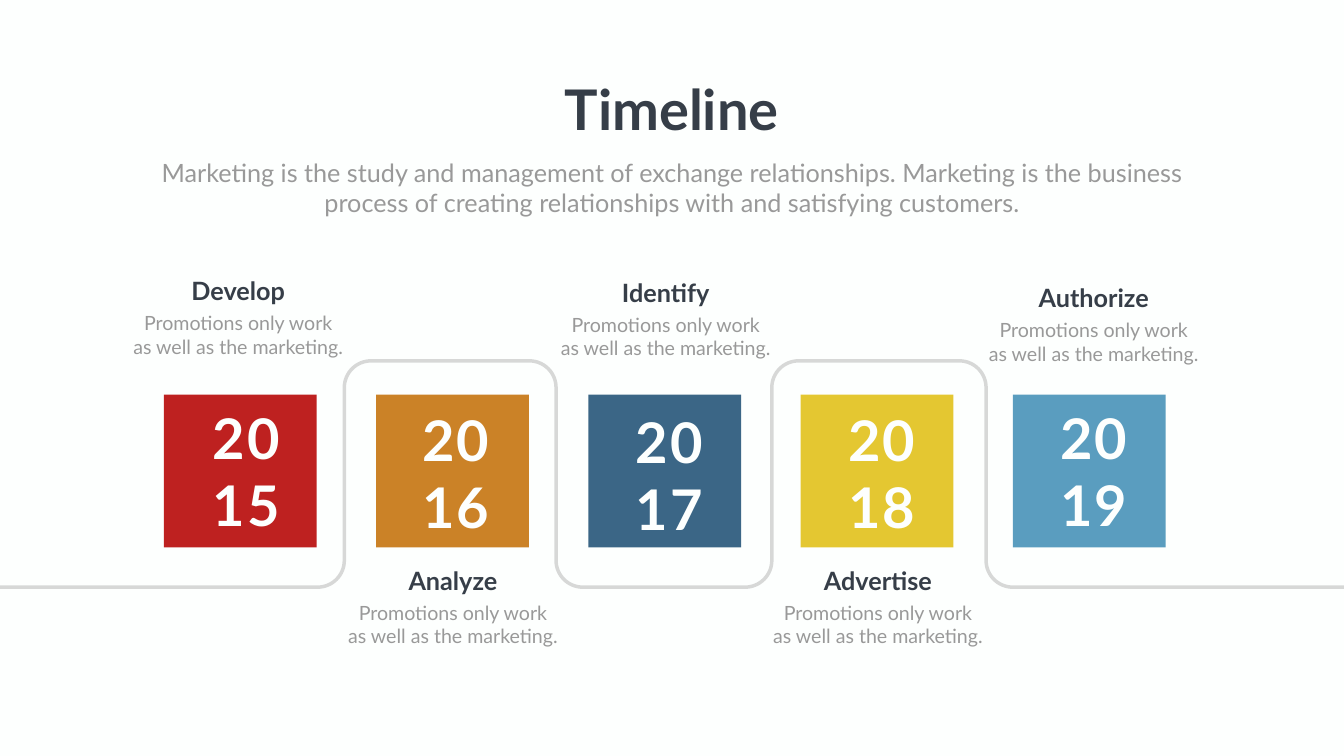
from dataclasses import dataclass
from math import cos, pi, sin

from lxml import etree
from pptx import Presentation
from pptx.dml.color import RGBColor
from pptx.enum.shapes import MSO_SHAPE
from pptx.enum.text import MSO_ANCHOR, MSO_AUTO_SIZE, PP_ALIGN
from pptx.oxml.ns import qn
from pptx.util import Inches, Pt

RECTANGLE = MSO_SHAPE.RECTANGLE
TOP = MSO_ANCHOR.TOP
FIT_SHAPE = MSO_AUTO_SIZE.SHAPE_TO_FIT_TEXT
CENTER = PP_ALIGN.CENTER

FONT = "Lato"
COLORS = {
    "paper": "FDFFFE", "ink": "363E48", "muted": "999999", "track": "808080",
    "red": "BE2120", "orange": "CB8227", "navy": "3B6686",
    "yellow": "E4C731", "sky": "5A9DBF",
}

# Grid, in inches
WIDTH, HEIGHT = 26.66, 15
FIRST_COLUMN, COLUMN_STEP = 3.25, 4.21
TILE_TOP, TILE_SIZE = 7.83, 3.03
YEAR_WIDTH, YEAR_HEIGHT = 1.59, 2.79
HEADING_WIDTH, HEADING_HEIGHT = 2.61, 0.7
CAPTION_WIDTH, CAPTION_HEIGHT = 4.94, 1.04
CAPTION = "Promotions only work\nas well as the marketing."

# Winding track
TRACK_TURNS = (6.83, 11.03, 15.31, 19.56)
TRACK_LOW, TRACK_HIGH = 11.65, 7.16
TRACK_RADIUS = 0.53
TRACK_BLEED = 0.28
ARC_STEPS = 16


@dataclass(frozen=True)
class Style:
    size: int
    color: str
    bold: bool = False
    spacing: int = 0


@dataclass(frozen=True)
class Milestone:
    heading: str
    year: str
    color: str
    heading_top: float
    heading_shift: float  # from the middle of the column
    year_top: float
    year_shift: float


TITLE = Style(80, "ink", bold=True)
INTRO = Style(36, "muted")
YEAR = Style(80, "paper", bold=True, spacing=3)
HEADING = Style(36, "ink", bold=True)
CAPTION_STYLE = Style(28, "muted")

MILESTONES = (
    Milestone("Develop", "2015", "red", 5.42, -0.04, 7.95, 0.12),
    Milestone("Analyze", "2016", "orange", 11.17, 0.01, 8.0, 0.07),
    Milestone("Identify", "2017", "navy", 5.45, 0.02, 8.03, 0.09),
    Milestone("Advertise", "2018", "yellow", 11.17, 0.02, 8.0, 0.1),
    Milestone("Authorize", "2019", "sky", 5.56, 0.09, 7.95, 0.09),
)


def rgb(name: str) -> RGBColor:
    return RGBColor.from_string(COLORS[name])


def place(shape, left: float, top: float, width: float, height: float) -> None:
    shape.left, shape.top = Inches(left), Inches(top)
    shape.width, shape.height = Inches(width), Inches(height)


def write(shape, text: str, style: Style, wrap: bool = True) -> None:
    frame = shape.text_frame
    frame.text = text
    frame.word_wrap = wrap
    frame.auto_size = FIT_SHAPE
    frame.vertical_anchor = TOP
    for paragraph in frame.paragraphs:
        paragraph.alignment = CENTER
        for run in paragraph.runs:
            run.font.name = FONT
            run.font.size = Pt(style.size)
            run.font.bold = style.bold
            run.font.color.rgb = rgb(style.color)
            if style.spacing:
                run._r.get_or_add_rPr().set("spc", str(style.spacing * 100))


def add_text(slide, text: str, style: Style, middle: float, top: float,
             width: float, height: float, wrap: bool = True) -> None:
    box = slide.shapes.add_textbox(0, 0, 0, 0)
    place(box, middle - width / 2, top, width, height)
    write(box, text, style, wrap)


def column_middle(column: int) -> float:
    return FIRST_COLUMN + column * COLUMN_STEP + TILE_SIZE / 2


def add_tile(slide, column: int, color: str) -> None:
    tile = slide.shapes.add_shape(RECTANGLE, 0, 0, 0, 0)
    place(tile, column_middle(column) - TILE_SIZE / 2, TILE_TOP, TILE_SIZE, TILE_SIZE)
    tile.shadow.inherit = False
    tile.fill.solid()
    tile.fill.fore_color.rgb = rgb(color)
    tile.line.fill.background()


def track_points() -> list[tuple[float, float]]:
    """Follow the track left to right, rounding both corners of every turn."""
    angles = [step * pi / 2 / ARC_STEPS for step in range(ARC_STEPS + 1)]
    radius = TRACK_RADIUS
    points = [(-TRACK_BLEED, TRACK_LOW)]
    start, end = TRACK_LOW, TRACK_HIGH
    for turn in TRACK_TURNS:
        bend = radius if end > start else -radius
        points += [(turn - radius + radius * sin(a), start + bend - bend * cos(a))
                   for a in angles]
        points += [(turn + radius - radius * cos(a), end - bend + bend * sin(a))
                   for a in angles]
        start, end = end, start
    points.append((WIDTH + TRACK_BLEED, TRACK_LOW))
    return points


def add_track(slide) -> None:
    first, *rest = [(Inches(x), Inches(y)) for x, y in track_points()]
    builder = slide.shapes.build_freeform(*first)
    builder.add_line_segments(rest, close=False)
    track = builder.convert_to_shape()
    track.shadow.inherit = False
    track.fill.background()
    track.line.width = Pt(5)
    track.line.color.rgb = rgb("track")
    color = track.line._ln.find(".//" + qn("a:srgbClr"))
    etree.SubElement(color, qn("a:alpha"), val="30000")


def add_labels(slide, column: int, milestone: Milestone) -> None:
    middle = column_middle(column)
    year = f"{milestone.year[:2]}\n{milestone.year[2:]}"
    add_text(slide, year, YEAR, middle + milestone.year_shift, milestone.year_top,
             YEAR_WIDTH, YEAR_HEIGHT, wrap=False)
    label_middle = middle + milestone.heading_shift
    add_text(slide, milestone.heading, HEADING, label_middle, milestone.heading_top,
             HEADING_WIDTH, HEADING_HEIGHT)
    add_text(slide, CAPTION, CAPTION_STYLE, label_middle,
             milestone.heading_top + HEADING_HEIGHT, CAPTION_WIDTH, CAPTION_HEIGHT)


def main() -> None:
    deck = Presentation()
    deck.slide_width, deck.slide_height = Inches(WIDTH), Inches(HEIGHT)
    slide = deck.slides.add_slide(deck.slide_layouts[5])
    slide.background.fill.solid()
    slide.background.fill.fore_color.rgb = rgb("paper")

    # Tiles and the track winding between them
    for column, milestone in enumerate(MILESTONES):
        add_tile(slide, column, milestone.color)
    add_track(slide)

    # Title and introduction
    title = slide.shapes.title
    place(title, 11.06, 1.42, 4.53, 1.45)
    write(title, "Timeline", TITLE, wrap=False)
    add_text(slide, "Marketing is the study and management of exchange relationships. "
             "Marketing is the business process of creating relationships with and "
             "satisfying customers.", INTRO, WIDTH / 2, 3.07, 21.3, 1.31)

    # Years, headings and captions
    for column, milestone in enumerate(MILESTONES):
        add_labels(slide, column, milestone)

    deck.save("out.pptx")


if __name__ == "__main__":
    main()
